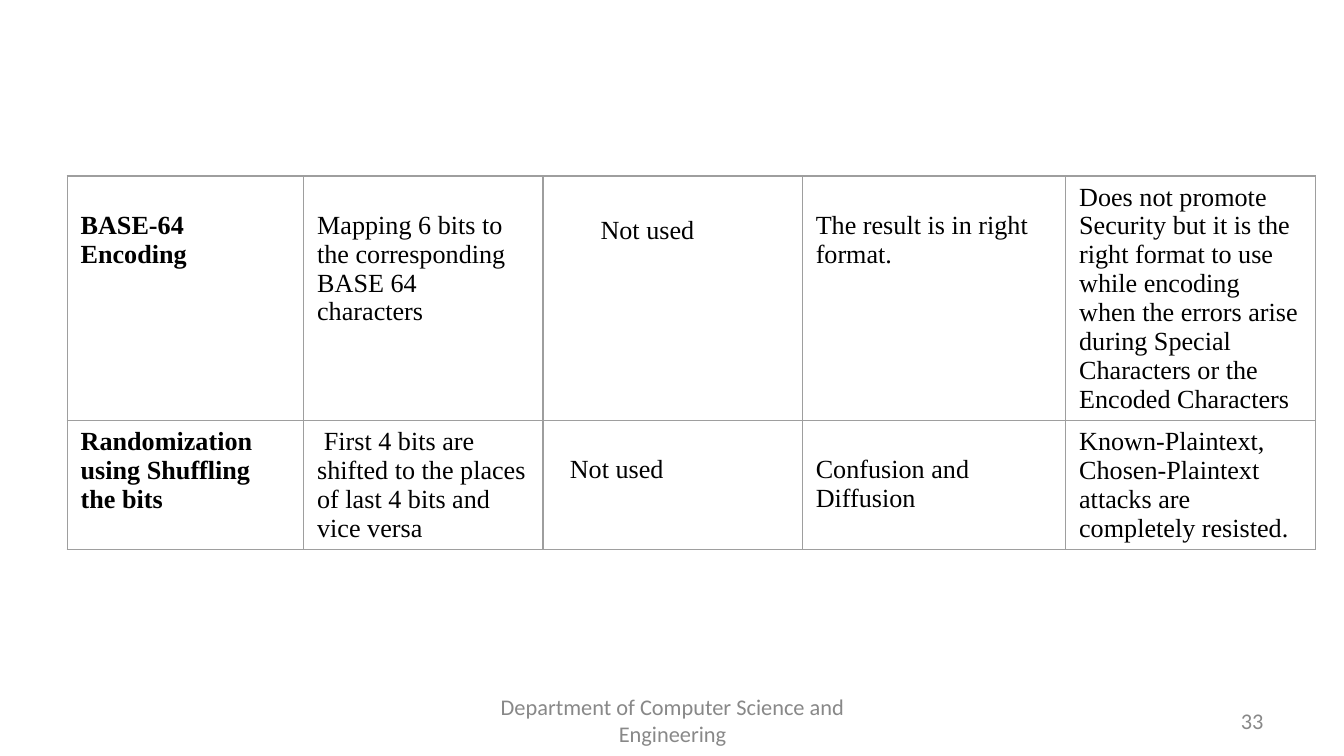
from dataclasses import dataclass

from lxml import etree
from pptx import Presentation
from pptx import util as u
from pptx.dml.color import RGBColor
from pptx.enum import text
from pptx.oxml.ns import qn


@dataclass(frozen=True)
class Theme:
    body_font: str = "Times New Roman"
    footer_font: str = "Calibri"
    body_size: int = 14
    footer_size: int = 12
    ink: str = "000000"
    muted: str = "888888"
    border: str = "9E9E9E"
    border_width: float = 0.75


@dataclass(frozen=True)
class Entry:
    """One table cell; lowered text starts one line further down."""
    words: str
    bold: bool = False
    lowered: bool = False
    left: float = 0.1
    indent: float = 0


@dataclass(frozen=True)
class Label:
    words: str
    left: float
    top: float
    width: float
    height: float
    align: text.PP_ALIGN = text.PP_ALIGN.LEFT
    footer: bool = False


THEME = Theme()
PAGE_WIDTH = 10
PAGE_HEIGHT = PAGE_WIDTH * 9 / 16
CELL_TOP = 0.05
LINE_HEIGHT = 0.21
COLUMN_WIDTHS = (1.76, 1.78, 1.93, 1.96, 1.86)
ROW_HEIGHTS = (1.82, 0.96)

ROWS = (
    (
        Entry("BASE-64 Encoding", bold=True, lowered=True),
        Entry("Mapping 6 bits to the corresponding BASE 64 characters", lowered=True),
        Entry(""),
        Entry("The result is in right format.", lowered=True),
        Entry("Does not promote Security but it is the right format to use while "
              "encoding when the errors arise during Special Characters or the "
              "Encoded Characters"),
    ),
    (
        Entry("Randomization using Shuffling the bits", bold=True),
        Entry("First 4 bits are shifted to the places of last 4 bits and vice versa",
              indent=0.05),
        Entry("Not used", lowered=True, left=0.2),
        Entry("Confusion and Diffusion", lowered=True),
        Entry("Known-Plaintext, Chosen-Plaintext attacks are completely resisted."),
    ),
)

LABELS = (
    Label("Department of Computer Science and Engineering", 3.42, 5.21, 3.17, 0.3,
          text.PP_ALIGN.CENTER, footer=True),
    Label("33", 7.17, 5.21, 2.33, 0.3, text.PP_ALIGN.RIGHT, footer=True),
    Label("Not used", 4.37, 1.54, 5, 0.34),
)


def style_font(font, name: str, size: int, color: str, bold: bool = False) -> None:
    font.name = name
    font.size = u.Pt(size)
    font.bold = bold
    font.color.rgb = RGBColor.from_string(color)


def add_borders(cell) -> None:
    properties = cell._tc.get_or_add_tcPr()
    for position, side in enumerate(("a:lnL", "a:lnR", "a:lnT", "a:lnB")):
        line = etree.Element(qn(side), w=str(u.Pt(THEME.border_width)))
        fill = etree.SubElement(line, qn("a:solidFill"))
        etree.SubElement(fill, qn("a:srgbClr"), val=THEME.border)
        properties.insert(position, line)


def fill_cell(cell, entry: Entry) -> None:
    cell.fill.background()
    add_borders(cell)
    cell.margin_left = u.Inches(entry.left)
    cell.margin_top = u.Inches(CELL_TOP + LINE_HEIGHT * entry.lowered)
    para = cell.text_frame.paragraphs[0]
    para.text = entry.words
    if entry.indent:
        para._p.get_or_add_pPr().set("indent", str(u.Inches(entry.indent)))
    style_font(para.font, THEME.body_font, THEME.body_size, THEME.ink, entry.bold)


def add_comparison(page, left: float, top: float) -> None:
    frame = page.shapes.add_table(
        len(ROWS), len(COLUMN_WIDTHS), u.Inches(left), u.Inches(top),
        u.Inches(sum(COLUMN_WIDTHS)), u.Inches(sum(ROW_HEIGHTS)))
    table = frame.table
    table.first_row = False
    table.horz_banding = False
    for column, width in zip(table.columns, COLUMN_WIDTHS):
        column.width = u.Inches(width)
    for row, height, entries in zip(table.rows, ROW_HEIGHTS, ROWS):
        row.height = u.Inches(height)
        for cell, entry in zip(row.cells, entries):
            fill_cell(cell, entry)


def add_label(page, label: Label) -> None:
    box = page.shapes.add_textbox(u.Inches(label.left), u.Inches(label.top),
                                  u.Inches(label.width), u.Inches(label.height))
    frame = box.text_frame
    frame.word_wrap = True
    para = frame.paragraphs[0]
    para.text = label.words
    para.alignment = label.align
    if label.footer:
        frame.vertical_anchor = text.MSO_ANCHOR.MIDDLE
        style_font(para.font, THEME.footer_font, THEME.footer_size, THEME.muted)
    else:
        frame.auto_size = text.MSO_AUTO_SIZE.SHAPE_TO_FIT_TEXT
        style_font(para.font, THEME.body_font, THEME.body_size, THEME.ink)


def main() -> None:
    deck = Presentation()
    deck.slide_width = u.Inches(PAGE_WIDTH)
    deck.slide_height = u.Inches(PAGE_HEIGHT)
    page = deck.slides.add_slide(deck.slide_layouts[6])

    # Comparison table
    add_comparison(page, 0.5, 1.31)

    # Footer, page number and the loose table note
    for label in LABELS:
        add_label(page, label)

    deck.save("out.pptx")


if __name__ == "__main__":
    main()
